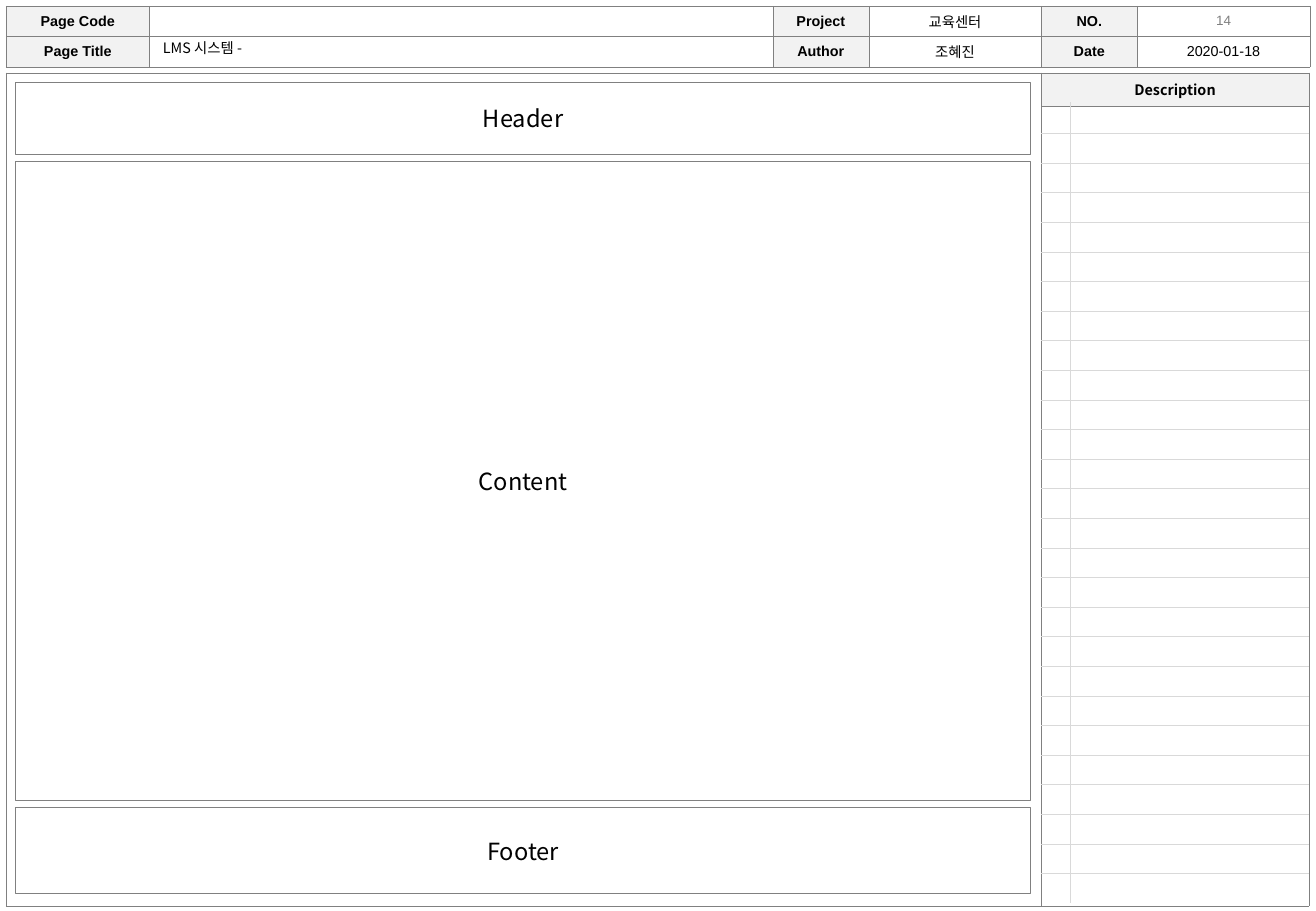
from dataclasses import dataclass

from lxml.etree import SubElement
from pptx import Presentation
from pptx.dml.color import RGBColor
from pptx.enum.shapes import MSO_SHAPE
from pptx.enum.text import MSO_ANCHOR, MSO_AUTO_SIZE, PP_ALIGN
from pptx.oxml.ns import qn
from pptx.util import Inches, Pt


@dataclass(frozen=True)
class Theme:
    """Colours, fonts and type sizes of the wireframe sheet."""
    ink: str = "000000"
    muted: str = "7F7F7F"
    frame: str = "808080"
    rule: str = "D9D9D9"
    label: str = "F2F2F2"
    paper: str = "FFFFFF"
    sans: str = "Arial"
    korean: str = "Noto Sans CJK KR"
    number_size: float = 8
    text_size: float = 8.5
    panel_size: float = 14


THEME = Theme()
PAGE_COLUMNS, PAGE_ROWS = 1083, 750
MARGIN, GAP = 5, 6
INFO_COLUMNS = (118, 513, 79, 142, 79, 142)
INFO_ROWS = (25, 25)
INFO = (
    ("Page Code", "", "Project", "교육센터", "NO.", ""),
    ("Page Title", "", "Author", "조혜진", "Date", "2020-01-18"),
)
BODY_TOP, BODY_COLUMNS, BODY_ROWS = 60, (852, 220), (27, 659)
NOTE_TOP, NOTE_COLUMNS = 84, (24, 196)
NOTE_ROWS = (26,) + (24.4,) * 26
PANEL_LEFT, PANEL_TOP, PANEL_WIDTH = 13, 68, 835
PANELS = (("Header", 59), ("Content", 526), ("Footer", 71))
NO_STYLE = "{2D5ABB26-0587-4C30-8999-92F81FD0307C}"
SIDES = {"l": "a:lnL", "r": "a:lnR", "t": "a:lnT", "b": "a:lnB"}


def grid(*units):
    """Turn columns or rows of the 0.01 inch page grid into lengths."""
    return [Inches(unit / 100) for unit in units]


def set_values(target, values):
    """Set each named attribute of the target."""
    for name, value in values.items():
        setattr(target, name, value)


def write(frame, text, size, font=THEME.sans, color=THEME.ink, bold=False,
          align=PP_ALIGN.CENTER):
    """Put one formatted line into a text frame."""
    para = frame.paragraphs[0]
    set_values(para, {"alignment": align, "line_spacing": 1.0})
    span = para.add_run()
    span.text = text
    set_values(span.font, {"size": Pt(size), "bold": bold, "name": font})
    span.font.color.rgb = RGBColor.from_string(color)
    SubElement(span.font._element, qn("a:ea"), typeface=THEME.korean)


def add_borders(cell, sides, color, width):
    """Draw the named sides of a table cell."""
    properties = cell._tc.get_or_add_tcPr()
    for side in (key for key in SIDES if key in sides):
        line = SubElement(properties, qn(SIDES[side]), w=str(Pt(width)))
        fill = SubElement(line, qn("a:solidFill"))
        SubElement(fill, qn("a:srgbClr"), val=color)


def add_plain_table(page, left, top, columns, rows):
    """Add an unstyled table with the given column and row sizes."""
    area = grid(left, top, sum(columns), sum(rows))
    table = page.shapes.add_table(len(rows), len(columns), *area).table
    table._tbl.tblPr.find(qn("a:tableStyleId")).text = NO_STYLE
    set_values(table, {"first_row": False, "horz_banding": False})
    for column, width in zip(table.columns, grid(*columns)):
        column.width = width
    for row, height in zip(table.rows, grid(*rows)):
        row.height = height
    return table


def finish_cell(cell, text="", label=False, font=THEME.sans):
    """Fill a cell and write its text, or keep an empty one small."""
    if label:
        cell.fill.solid()
        cell.fill.fore_color.rgb = RGBColor.from_string(THEME.label)
    else:
        cell.fill.background()
    if text:
        write(cell.text_frame, text, THEME.text_size, font, bold=label)
    else:
        para = cell.text_frame.paragraphs[0]
        SubElement(para._p, qn("a:endParaRPr"), sz=str(Pt(6).centipoints))


def add_body_frame(page):
    """Add the outer frame with its description heading."""
    table = add_plain_table(page, MARGIN, BODY_TOP, BODY_COLUMNS, BODY_ROWS)
    layout = (("ltr", "ltrb"), ("lrb", "ltrb"))
    for row, row_sides in enumerate(layout):
        for column, sides in enumerate(row_sides):
            heading = (row, column) == (0, 1)
            cell = table.cell(row, column)
            add_borders(cell, sides, THEME.frame, 0.25)
            finish_cell(cell, "Description" if heading else "", heading,
                        THEME.korean)


def add_info_table(page):
    """Add the page information table."""
    table = add_plain_table(page, MARGIN, MARGIN, INFO_COLUMNS, INFO_ROWS)
    inset, = grid(4)
    for row, texts in enumerate(INFO):
        for column, text in enumerate(texts):
            cell = table.cell(row, column)
            add_borders(cell, "lrtb", THEME.frame, 0.25)
            finish_cell(cell, text, label=column % 2 == 0)
            set_values(cell, {
                "vertical_anchor": MSO_ANCHOR.MIDDLE,
                "margin_left": inset, "margin_right": inset,
                "margin_top": inset, "margin_bottom": inset})


def add_note_grid(page):
    """Add the ruled rows for numbered descriptions."""
    left = MARGIN + BODY_COLUMNS[0]
    table = add_plain_table(page, left, NOTE_TOP, NOTE_COLUMNS, NOTE_ROWS)
    last = len(NOTE_ROWS) - 1
    for row in range(last + 1):
        level = ("t" if row else "") + ("b" if row < last else "")
        for column, upright in enumerate("rl"):
            cell = table.cell(row, column)
            add_borders(cell, level + upright, THEME.rule, 0.5)
            finish_cell(cell)


def add_panel(page, text, top, height):
    """Add one outlined layout region with a centred name."""
    panel = page.shapes.add_shape(
        MSO_SHAPE.RECTANGLE, *grid(PANEL_LEFT, top, PANEL_WIDTH, height))
    panel.shadow.inherit = False
    panel.fill.solid()
    panel.fill.fore_color.rgb = RGBColor.from_string(THEME.paper)
    panel.line.color.rgb = RGBColor.from_string(THEME.frame)
    panel.line.width = Pt(0.5)
    panel.text_frame.vertical_anchor = MSO_ANCHOR.MIDDLE
    write(panel.text_frame, text, THEME.panel_size, THEME.korean)


def place_title(page, text):
    """Move the title placeholder into the information table."""
    title = page.shapes.title
    left, top, width, height = grid(124, 27.5, 512, 24)
    set_values(title, {"left": left, "top": top,
                       "width": width, "height": height})
    set_values(title.text_frame, {
        "word_wrap": True, "auto_size": MSO_AUTO_SIZE.NONE,
        "vertical_anchor": MSO_ANCHOR.MIDDLE})
    write(title.text_frame, text, THEME.text_size, THEME.korean,
          align=PP_ALIGN.LEFT)


def add_page_number(page, text):
    """Add the page number over the last cell of the first row."""
    left = MARGIN + sum(INFO_COLUMNS[:-1])
    box = page.shapes.add_textbox(
        *grid(left, MARGIN, INFO_COLUMNS[-1], 24))
    box.text_frame.word_wrap = True
    write(box.text_frame, text, THEME.number_size, color=THEME.muted)


def main():
    """Build the wireframe sheet and save it."""
    deck = Presentation()
    deck.slide_width, deck.slide_height = grid(PAGE_COLUMNS, PAGE_ROWS)
    page = deck.slides.add_slide(deck.slide_layouts[5])
    add_body_frame(page)
    add_info_table(page)
    add_page_number(page, "14")
    add_note_grid(page)
    place_title(page, "LMS 시스템 -")
    top = PANEL_TOP
    for name, height in PANELS:
        add_panel(page, name, top, height)
        top += height + GAP
    deck.save("out.pptx")


main()
